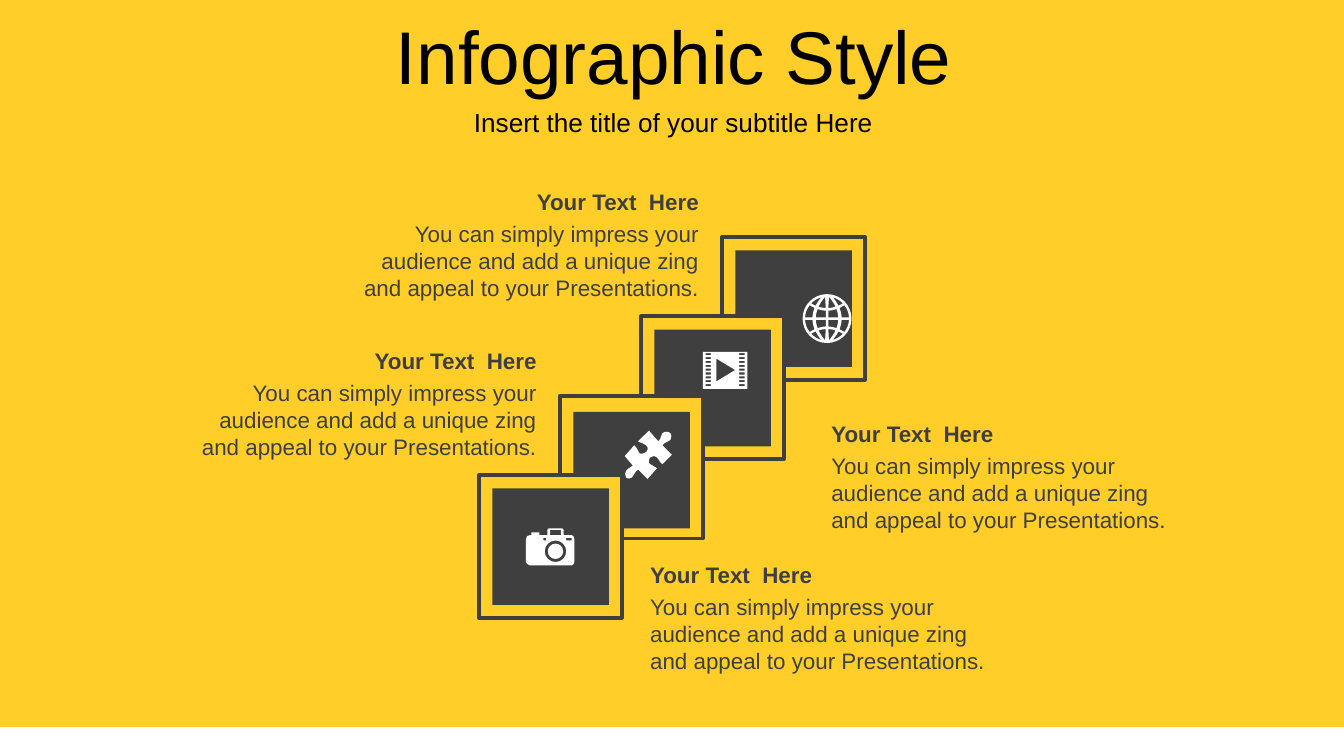
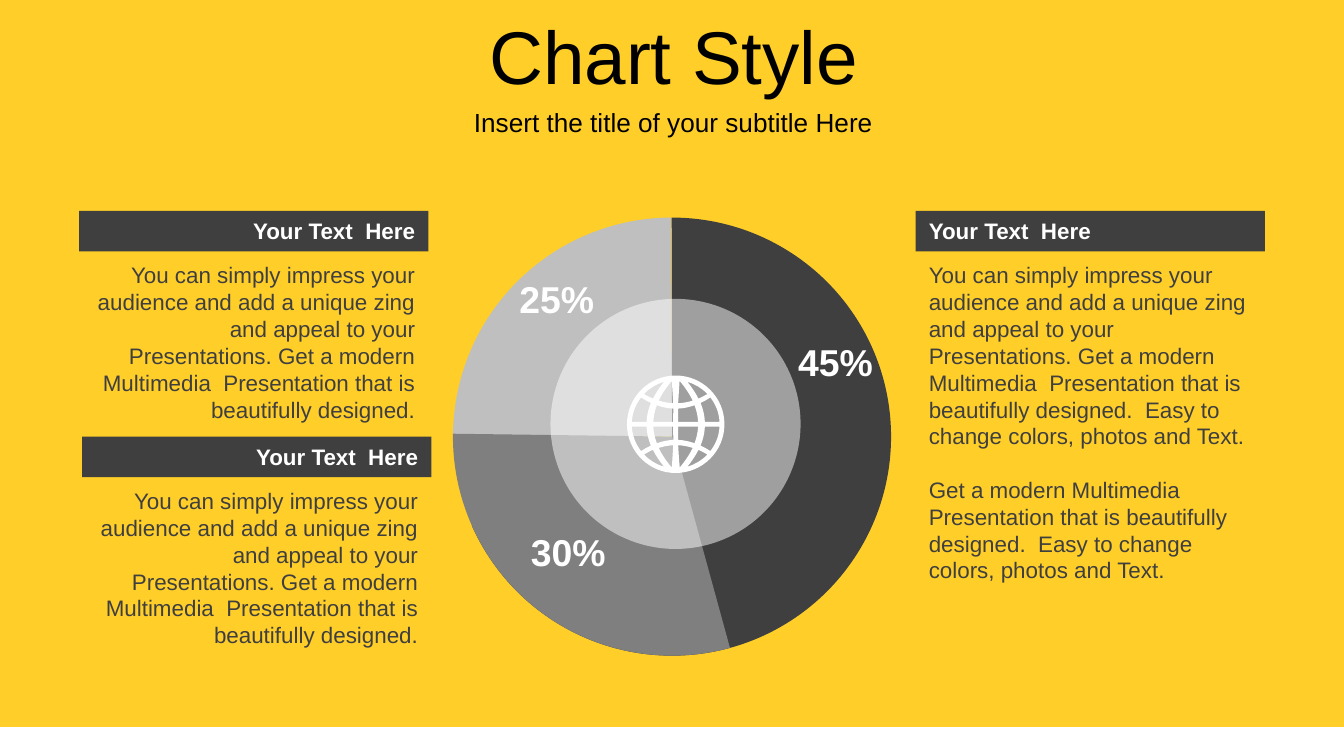
from lxml.etree import SubElement
from pptx import Presentation
from pptx.dml.color import RGBColor
from pptx.enum.shapes import MSO_SHAPE as SHAPE
from pptx.enum.text import MSO_ANCHOR as ANCHOR, MSO_AUTO_SIZE as AUTO, PP_ALIGN as ALIGN
from pptx.oxml.ns import qn
from pptx.util import Pt

YELLOW, DARK, WHITE, BLACK = "FFCE29", "3F3F3F", "FFFFFF", "000000"
LIGHT_GREY, MID_GREY = "BFBFBF", "7F7F7F"
FONT = "Arial"
WIDTH, HEIGHT = 720, 405
UNIT = 0.72  # points to one icon grid step
HEADING = "Your Text  Here"
SHORT = ("You can simply impress your audience and add a unique zing "
         "and appeal to your Presentations.")
MODERN = "Get a modern Multimedia  Presentation that is beautifully designed."
EASY = "Easy to change colors, photos and Text."


def rgb(value):
    return RGBColor.from_string(value)


def paint(shape, fill, line=None):
    shape.shadow.inherit = False
    shape.fill.solid()
    shape.fill.fore_color.rgb = rgb(fill)
    if line:
        shape.line.color.rgb = rgb(line)
        shape.line.width = Pt(2)
    else:
        shape.line.fill.background()
    return shape


def preset(s, kind, x, y, w, h, fill, line=None):
    return paint(s.shapes.add_shape(kind, Pt(x), Pt(y), Pt(w), Pt(h)), fill, line)


def write(shape, paragraphs, size, color=DARK, bold=False, align=ALIGN.LEFT,
          anchor=ANCHOR.TOP, gap=0, pad=3.6):
    """Fill a shape with one run per paragraph; gap separates the paragraphs."""
    tf = shape.text_frame
    tf.word_wrap = True
    tf.auto_size = AUTO.NONE
    tf.vertical_anchor = anchor
    tf.margin_left = tf.margin_right = Pt(7.2)
    tf.margin_top = tf.margin_bottom = Pt(pad)
    for i, text in enumerate(paragraphs):
        p = tf.add_paragraph() if i else tf.paragraphs[0]
        p.alignment = align
        p.space_before = Pt(gap if i else 0)
        r = p.add_run()
        r.text = text
        r.font.name, r.font.size, r.font.bold = FONT, Pt(size), bold
        r.font.color.rgb = rgb(color)


def text_box(s, x, y, w, h, paragraphs, size=12, **style):
    write(s.shapes.add_textbox(Pt(x), Pt(y), Pt(w), Pt(h)), paragraphs, size, **style)


def icon(s, x, y, w, h, contours, unit=UNIT):
    """Draw white contours on a w by h grid of unit points.

    A contour is a start point and its segments: 2 numbers make a line,
    4 a quadratic curve and 6 a cubic one.
    """
    tags = {2: "a:lnTo", 4: "a:quadBezTo", 6: "a:cubicBezTo"}
    fb = s.shapes.build_freeform(0, 0)
    fb.add_line_segments([(Pt(w * unit), 0), (Pt(w * unit), Pt(h * unit)), (0, Pt(h * unit))])
    shape = paint(fb.convert_to_shape(Pt(x), Pt(y)), WHITE)
    outline = next(shape._element.iter(qn("a:path")))
    for child in list(outline):
        outline.remove(child)
    for contour in contours:
        for i, seg in enumerate(contour):
            command = SubElement(outline, qn(tags[len(seg)] if i else "a:moveTo"))
            for px, py in zip(seg[::2], seg[1::2]):
                pt = SubElement(command, qn("a:pt"))
                pt.set("x", str(Pt(px * unit)))
                pt.set("y", str(Pt(py * unit)))
        SubElement(outline, qn("a:close"))


def rect(x, y, w, h):
    return [(x, y), (x + w, y), (x + w, y + h), (x, y + h)]


def circle(cx, cy, r):
    k = 0.5523 * r
    return [(cx + r, cy),
            (cx + r, cy + k, cx + k, cy + r, cx, cy + r),
            (cx - k, cy + r, cx - r, cy + k, cx - r, cy),
            (cx - r, cy - k, cx - k, cy - r, cx, cy - r),
            (cx + k, cy - r, cx + r, cy - k, cx + r, cy)]


def globe():
    """Disc of radius 1 with the four cells of a quadrant cut out and mirrored."""
    def latitude(base, x0, x1):
        return ((x0 + x1) / 2, base + 0.45 * x0 * x1, x1, base + 0.45 * x1 * x1)

    def meridian(base, y0, y1):
        return (base - 0.48 * y0 * y1, (y0 + y1) / 2, base - 0.48 * y1 * y1, y1)

    def rim(x0, y0, x1, y1):
        k = 0.81 / (0.81 + x0 * x1 + y0 * y1)
        return (k * (x0 + x1), k * (y0 + y1), x1, y1)

    bar = 0.05
    cells = [
        [(bar, bar), (0.46, bar), meridian(0.46, bar, 0.39), latitude(0.32, 0.39, bar)],
        [(bar, 0.43), latitude(0.43, bar, 0.35), meridian(0.46, 0.49, 0.89)],
        [(0.6, bar), (0.9, bar), rim(0.9, bar, 0.71, 0.55),
         latitude(0.32, 0.71, 0.51), meridian(0.6, 0.44, bar)],
        [(0.48, 0.53), latitude(0.43, 0.48, 0.65), rim(0.65, 0.62, 0.24, 0.87),
         meridian(0.6, 0.87, 0.53)],
    ]

    def mirror(seg, sx, sy):
        return tuple(1 + (sy if i % 2 else sx) * v for i, v in enumerate(seg))

    return [circle(1, 1, 1)] + [[mirror(seg, sx, sy) for seg in cell]
                                for cell in cells for sx in (1, -1) for sy in (1, -1)]


def film():
    holes = [rect(x, 1 + 2.87 * row, 4, 1.5) for row in range(9) for x in (2, 27)]
    return [rect(0, 0, 33, 27.5), [(10, 5), (10, 22), (24, 13.5)]] + holes


def puzzle():
    return [[
        (34, 2), (35, 3, 35, 5, 34, 7), (32, 9, 30, 8, 28, 11), (35, 18), (28, 25),
        (25, 23, 26, 21, 24, 20), (23, 18, 21, 19, 19, 20), (18, 21, 17, 24, 19, 25),
        (21, 27, 22, 26, 24, 28), (17, 36), (10, 29), (7, 31, 8, 32, 6, 34),
        (5, 36, 2, 36, 1, 35), (0, 33, 0, 31, 1, 30), (3, 27, 5, 28, 6, 26),
        (0, 19), (7, 11), (10, 13, 9, 15, 11, 17), (12, 18, 14, 17, 16, 16),
        (17, 15, 18, 13, 16, 11), (14, 9, 13, 10, 10, 8), (18, 0), (25, 8),
        (28, 5, 26, 4, 28, 2), (30, 0, 33, 1, 34, 2)]]


def camera():
    body = [
        (0, 8), (0, 6, 1, 5, 3, 5), (4, 5), (4, 3), (10, 3), (10, 5), (16, 5), (16, 1),
        (17, 0), (27, 0), (28, 1), (28, 5), (34, 5), (35, 5, 36, 6, 36, 8),
        (36, 25), (36, 26, 35, 27.5, 34, 27.5), (3, 27.5), (2, 27.5, 0, 26, 0, 25)]
    return [body, circle(22, 17, 8), circle(22, 17, 5.7), rect(13, 7, 2, 2),
            rect(30, 7, 4, 2), rect(18, 1, 8, 4)]


def new_slide(prs, title):
    """Title-only slide with the shared title and subtitle."""
    s = prs.slides.add_slide(prs.slide_layouts[5])
    centred = dict(color=BLACK, align=ALIGN.CENTER, anchor=ANCHOR.MIDDLE, pad=7.2)
    ph = s.shapes.title
    ph.left, ph.top, ph.width, ph.height = Pt(1.6), Pt(6.5), Pt(718.6), Pt(46)
    write(ph, [title], 40, **centred)
    text_box(s, 0, 53.3, 721.6, 24.5, ["Insert the title of your subtitle Here"], 14, **centred)
    return s


def set_backdrop(prs, s):
    """Yellow master background, and a white band moved from s to its layout."""
    fill = prs.slide_master.background.fill
    fill.solid()
    fill.fore_color.rgb = rgb(YELLOW)
    band = preset(s, SHAPE.RECTANGLE, 0, 389.6, WIDTH, HEIGHT - 389.6, WHITE)
    s.slide_layout.shapes._spTree.append(band._element)


def tile(s, x, y, inner_dy):
    preset(s, SHAPE.RECTANGLE, x, y, 76.6, 76.6, YELLOW, DARK)
    preset(s, SHAPE.RECTANGLE, x + 7.1, y + inner_dy, 62.5, 62.5, DARK)


def caption(s, x, y, align):
    text_box(s, x, y + 17.1, 203.8, 51, [SHORT], align=align)
    text_box(s, x, y, 203.8, 21.6, [HEADING], bold=True, align=align)


def panel(s, x, y, h, paragraphs, align):
    text_box(s, x, y + 23.4, 187.2, h, paragraphs, align=align, gap=14.2)
    bar = preset(s, SHAPE.RECTANGLE, x, y, 187.2, 21.7, DARK)
    write(bar, [HEADING], 12, WHITE, True, align)


def staircase(s, x, y):
    """Four tiles stepping down to the left from (x, y)."""
    steps = [(globe(), 2, 2, 43.2, 30.6, 13.1, 7.1), (film(), 33, 27.5, 33.2, 19, UNIT, 7.1),
             (puzzle(), 35, 36, 34.7, 18.7, UNIT, 8.6),
             (camera(), 36, 27.5, 25.2, 28.6, UNIT, 7.1)]
    for i, (contours, w, h, dx, dy, unit, inner_dy) in enumerate(steps):
        left, top = x - 43.4 * i, y + 42.5 * i
        tile(s, left, top, inner_dy)
        icon(s, left + dx, top + dy, w, h, contours, unit)


def staircase_slide(prs):
    s = new_slide(prs, "Infographic Style")
    set_backdrop(prs, s)
    staircase(s, 386.8, 127)
    for x, y, align in [(341.2, 297.2, ALIGN.LEFT), (438.3, 221.7, ALIGN.LEFT),
                        (90.9, 182.4, ALIGN.RIGHT), (177.8, 97.3, ALIGN.RIGHT)]:
        caption(s, x, y, align)


def pie(s, x, y, size):
    slices = [(180.28, 269.8, LIGHT_GREY), (269.93, 155.94, DARK), (74.67, 180.75, MID_GREY)]
    for start, end, color in slices:
        sector = preset(s, SHAPE.PIE, x, y, size, size, color)
        sector.adjustments[0], sector.adjustments[1] = start * 0.6, end * 0.6
    for label, dx, dy in [("45%", 173.6, 61.2), ("30%", 30.5, 163), ("25%", 24.3, 27.7)]:
        text_box(s, x + dx, y + dy, 62.6, 31.7, [label], 20, color=WHITE, bold=True,
                 align=ALIGN.CENTER, anchor=ANCHOR.MIDDLE)
    disc = preset(s, SHAPE.OVAL, x + 52.2, y + 43.5, 134, 134, WHITE)
    fill_color = disc.fill._xPr.find(qn("a:solidFill"))[0]
    SubElement(fill_color, qn("a:alpha")).set("val", "50000")
    icon(s, x + 93.2, y + 84.6, 2, 2, globe(), 26.1)


def chart_slide(prs):
    s = new_slide(prs, "Chart Style")
    pie(s, 242.7, 116.6, 234.7)
    intro = f"{SHORT} {MODERN}"
    panel(s, 490.5, 113, 181.4, [f"{intro}  {EASY}", f"{MODERN}  {EASY}"], ALIGN.LEFT)
    panel(s, 42.4, 113, 94.3, [intro], ALIGN.RIGHT)
    panel(s, 44, 234, 94.3, [intro], ALIGN.RIGHT)


def main():
    prs = Presentation()
    prs.slide_width, prs.slide_height = Pt(WIDTH), Pt(HEIGHT)
    staircase_slide(prs)
    chart_slide(prs)
    prs.save("out.pptx")


if __name__ == "__main__":
    main()
